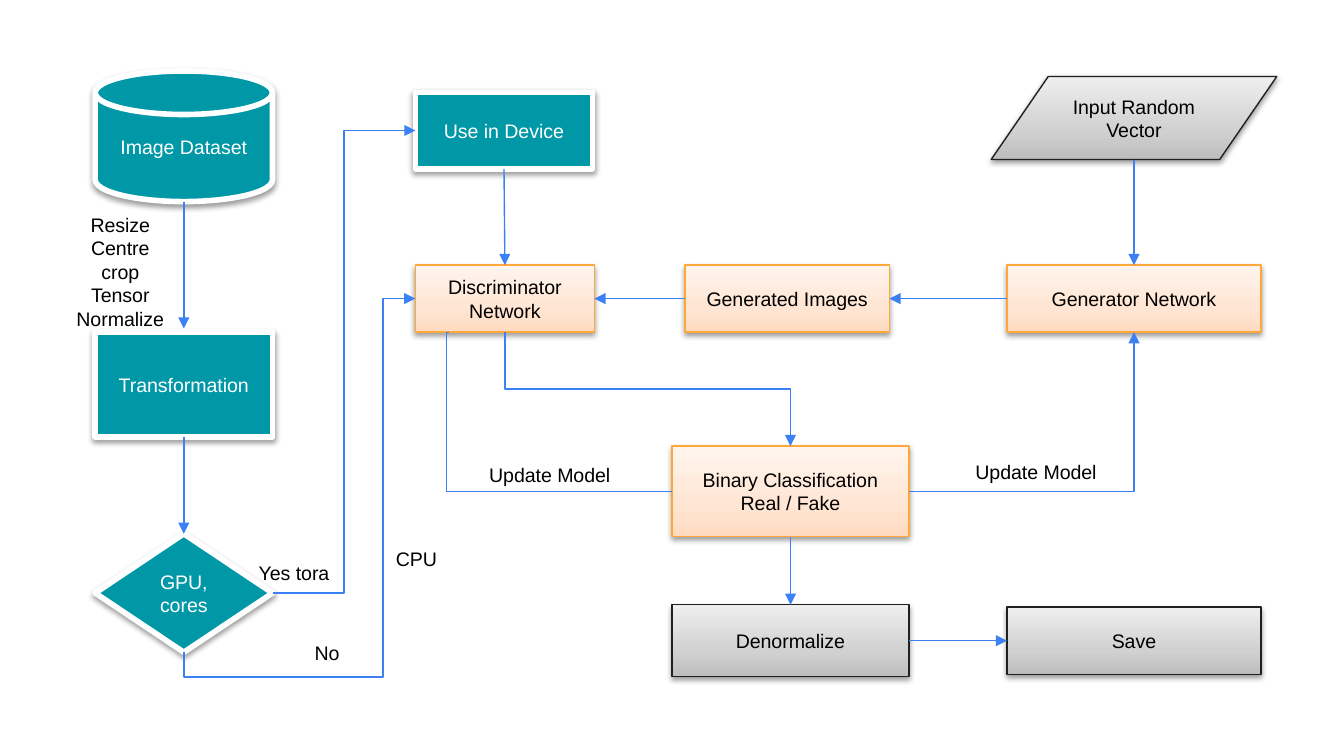
from copy import deepcopy
from dataclasses import dataclass
from typing import Any

from lxml.etree import SubElement
from pptx import Presentation
from pptx.dml.color import RGBColor
from pptx.enum.shapes import MSO_CONNECTOR, MSO_SHAPE
from pptx.enum.text import MSO_ANCHOR, MSO_AUTO_SIZE, PP_ALIGN
from pptx.oxml.ns import qn
from pptx.util import Pt

TOP, LEFT, BOTTOM, RIGHT = range(4)


@dataclass(frozen=True)
class Look:
    """Fill stops (one for a plain fill), outline and text of a kind of box."""
    stops: tuple
    edge: str
    width: float
    ink: str


@dataclass(frozen=True)
class Theme:
    font: str = "Arial"
    size: float = 10.5
    ink: str = "000000"
    link: str = "3C81F3"
    thin: float = 0.75
    teal: Look = Look(((0, "0097A7"),), "FFFFFF", 3, "FFFFFF")
    peach: Look = Look(((0, "FFDAC0"), (0.35, "FFE5D3"), (1, "FFF5EE")),
                       "FEA83A", 0.75, "000000")
    gray: Look = Look(((0, "BDBDBD"), (0.35, "D1D1D1"), (1, "EEEEEE")),
                      "202020", 0.75, "000000")


THEME = Theme()


@dataclass(frozen=True)
class Port:
    """An end of a link, joined to a shape's side if a shape is given."""
    x: int
    y: int
    shape: Any = None
    side: int = 0


def port(shape, side):
    dx, dy = ((0.5, 0), (0, 0.5), (0.5, 1), (1, 0.5))[side]
    return Port(int(shape.left + dx * shape.width),
                int(shape.top + dy * shape.height), shape, side)


def color(code):
    return RGBColor.from_string(code)


def write(frame, text, ink, align):
    frame.text = text
    for para in frame.paragraphs:
        para.alignment = align
        for run in para.runs:
            run.font.name = THEME.font
            run.font.size = Pt(THEME.size)
            run.font.color.rgb = color(ink)


def paint(shape, stops):
    fill = shape.fill
    if len(stops) == 1:
        fill.solid()
        fill.fore_color.rgb = color(stops[0][1])
        return
    fill.gradient()
    fill.gradient_angle = 90
    marks = shape._element.spPr.find(".//" + qn("a:gsLst"))
    marks.insert(1, deepcopy(marks[0]))
    for stop, (place, code) in zip(fill.gradient_stops, stops):
        stop.position = place
        stop.color.rgb = color(code)


def shade(shape):
    """Give the shape a soft shadow that falls straight down."""
    shape.shadow.inherit = False
    effects = shape._element.spPr.find(qn("a:effectLst"))
    drop = SubElement(effects, qn("a:outerShdw"), blurRad=str(Pt(3.1)),
                      dist=str(Pt(1.6)), dir="5400000", rotWithShape="0")
    tint = SubElement(drop, qn("a:srgbClr"), val="000000")
    SubElement(tint, qn("a:alpha"), val="38000")


def node(slide, text, look, area, kind=MSO_SHAPE.FLOWCHART_PROCESS):
    shape = slide.shapes.add_shape(kind, *map(Pt, area))
    paint(shape, look.stops)
    shape.line.color.rgb = color(look.edge)
    shape.line.width = Pt(look.width)
    shade(shape)
    frame = shape.text_frame
    frame.word_wrap = True
    frame.vertical_anchor = MSO_ANCHOR.MIDDLE
    write(frame, text, look.ink, PP_ALIGN.CENTER)
    return shape


def label(slide, text, area, wrap=False, align=PP_ALIGN.LEFT):
    frame = slide.shapes.add_textbox(*map(Pt, area)).text_frame
    frame.word_wrap = wrap
    frame.auto_size = MSO_AUTO_SIZE.SHAPE_TO_FIT_TEXT
    write(frame, text, THEME.ink, align)


def unturn(start, end, turn):
    """Ends of the link before it is turned clockwise about its middle."""
    cos, sin = {0: (1, 0), 90: (0, 1), 180: (-1, 0), 270: (0, -1)}[turn]
    mx, my = (start.x + end.x) / 2, (start.y + end.y) / 2
    dx, dy = start.x - mx, start.y - my
    rx, ry = cos * dx + sin * dy, cos * dy - sin * dx
    return [int(v) for v in (mx + rx, my + ry, mx - rx, my - ry)]


def link(slide, start, end, arrow=True, kind=MSO_CONNECTOR.STRAIGHT, turn=0):
    line = slide.shapes.add_connector(kind, start.x, start.y, end.x, end.y)
    if start.shape is not None:
        line.begin_connect(start.shape, start.side)
    if end.shape is not None:
        line.end_connect(end.shape, end.side)
    if turn:
        line.begin_x, line.begin_y, line.end_x, line.end_y = unturn(start, end, turn)
    line.line.color.rgb = color(THEME.link)
    line.line.width = Pt(THEME.thin)
    props = line._element.spPr
    if arrow:
        SubElement(props.find(qn("a:ln")), qn("a:tailEnd"), type="triangle")
    SubElement(props, qn("a:effectLst"))
    return line


def bend(slide, start, end, turn=0, parts=3, shifts=(), arrow=True):
    """Link with the given count of parts; shifts place its inner bends."""
    line = link(slide, start, end, arrow, MSO_CONNECTOR.ELBOW, turn)
    props = line._element.spPr
    if turn:
        props.find(qn("a:xfrm")).set("rot", str(turn * 60000))
    geom = props.find(qn("a:prstGeom"))
    geom.set("prst", f"bentConnector{parts}")
    guides = geom.find(qn("a:avLst"))
    if guides is None:
        guides = SubElement(geom, qn("a:avLst"))
    for count, shift in enumerate(shifts, 1):
        SubElement(guides, qn("a:gd"), name=f"adj{count}",
                   fmla=f"val {round(shift * 100000)}")


def main():
    deck = Presentation()
    deck.slide_width, deck.slide_height = Pt(720), Pt(405)
    slide = deck.slides.add_slide(deck.slide_layouts[6])
    teal, peach, gray = THEME.teal, THEME.peach, THEME.gray

    data = node(slide, "Image Dataset", teal, (51, 38, 95, 70),
                MSO_SHAPE.FLOWCHART_MAGNETIC_DISK)
    change = node(slide, "Transformation", teal, (51, 178, 95, 56))
    device = node(slide, "Use in Device", teal, (222.5, 49.5, 95, 41))
    choice = node(slide, "GPU, cores", teal, (51, 286, 95, 63.5),
                  MSO_SHAPE.FLOWCHART_DECISION)
    critic = node(slide, "Discriminator Network", peach, (222.5, 142, 96, 36))
    made = node(slide, "Generated Images", peach, (367, 142, 109.5, 36))
    maker = node(slide, "Generator Network", peach, (539.5, 142, 136, 36),
                 MSO_SHAPE.RECTANGLE)
    verdict = node(slide, "Binary Classification\nReal / Fake", peach,
                   (360, 239, 127, 48.5))
    noise = node(slide, "Input Random Vector", gray, (531, 41, 153, 44.5),
                 MSO_SHAPE.FLOWCHART_DATA)
    clean = node(slide, "Denormalize", gray, (360, 324, 127, 38.5))
    save = node(slide, "Save", gray, (539.5, 325.25, 136, 36), MSO_SHAPE.RECTANGLE)

    for source, side, target, goal in (
            (change, BOTTOM, choice, TOP), (device, BOTTOM, critic, TOP),
            (maker, LEFT, made, RIGHT), (made, LEFT, critic, RIGHT),
            (verdict, BOTTOM, clean, TOP), (clean, RIGHT, save, LEFT)):
        link(slide, port(source, side), port(target, goal))
    foot = port(data, BOTTOM)
    link(slide, Port(foot.x, foot.y), Port(foot.x, Pt(176)))
    foot = port(noise, BOTTOM)
    link(slide, Port(foot.x, foot.y), port(maker, TOP))

    bend(slide, port(choice, RIGHT), port(device, LEFT), shifts=(0.5,))
    bend(slide, port(choice, BOTTOM), port(critic, LEFT), 90, 4, (-0.07, 0.86))
    bend(slide, port(critic, BOTTOM), port(verdict, TOP), 270, shifts=(0.5,))
    bend(slide, port(verdict, RIGHT), port(maker, BOTTOM), parts=2)
    bend(slide, port(verdict, LEFT), Port(Pt(240.5), Pt(178)), 180,
         shifts=(1.01,), arrow=False)

    label(slide, "Resize\nCentre crop\nTensor\nNormalize", (31.5, 110.5, 66, 83.5),
          True, PP_ALIGN.CENTER)
    label(slide, "Yes tora", (131.5, 297, 59, 20))
    label(slide, "No", (161.5, 340, 29, 20), True)
    label(slide, "CPU", (205, 289.5, 37, 20), True)
    label(slide, "Update Model", (515.5, 243, 81, 20))
    label(slide, "Update Model", (255, 244.5, 81, 20))
    deck.save("out.pptx")


if __name__ == "__main__":
    main()
